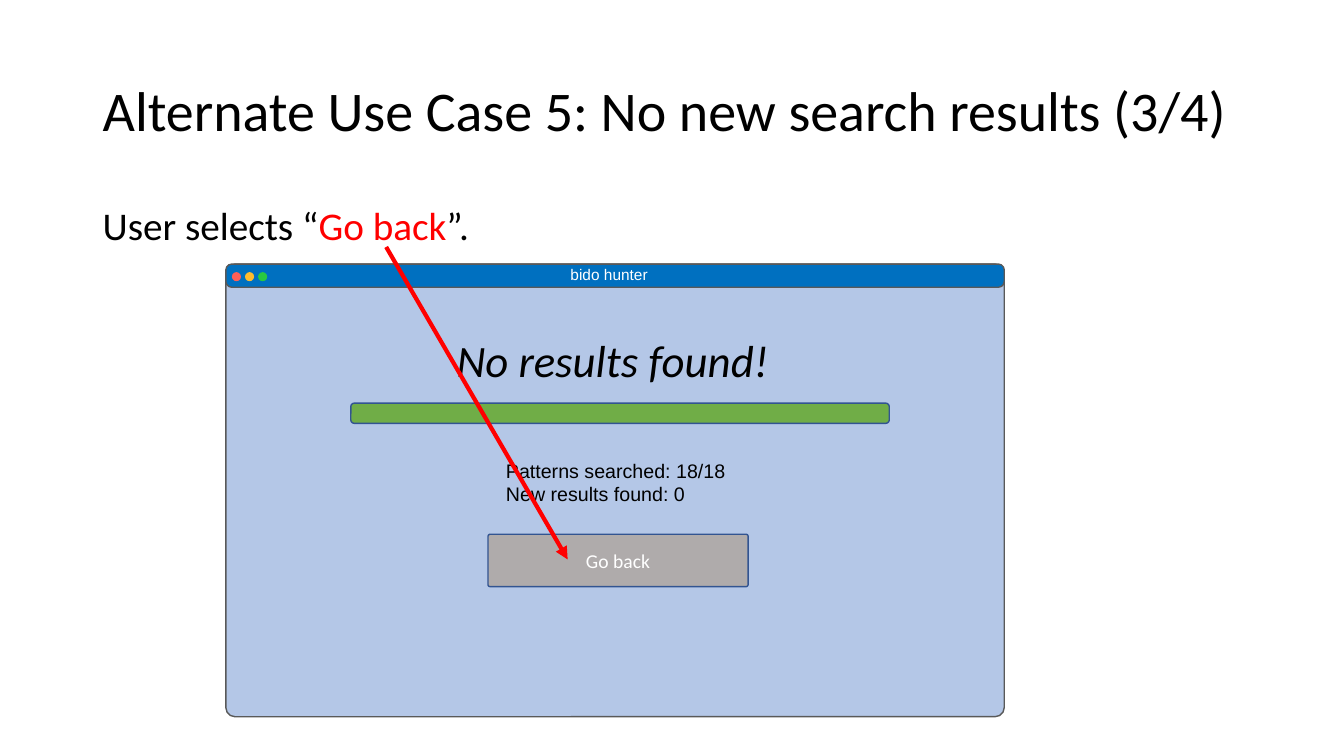
from lxml.etree import SubElement
from pptx import Presentation
from pptx.dml.color import RGBColor
from pptx.enum.shapes import MSO_CONNECTOR as Line, MSO_SHAPE as Preset
from pptx.enum.text import MSO_ANCHOR as Anchor, PP_ALIGN as Align
from pptx.oxml.ns import qn
from pptx.util import Pt

PX = 9144
COLORS = {
    "text": "000000", "light": "FFFFFF", "accent": "FF0000",
    "window": "B4C7E7", "bar": "0070C0", "frame": "595959",
    "progress": "70AD47", "button": "AFABAB", "edge": "325491",
    "close": "FF5F57", "minimize": "FFBC2E", "zoom": "28C840",
}


def color(name):
    return RGBColor.from_string(COLORS[name])


def scaled(*lengths):
    return [length * PX for length in lengths]


def style(paragraph, size, ink="text", face="Calibri", italic=False):
    font = paragraph.font
    font.size, font.name, font.italic = Pt(size), face, italic
    font.color.rgb = color(ink)


def add_text(shapes, box, lines, size, **look):
    label = shapes.add_textbox(*scaled(*box))
    frame = label.text_frame
    frame.word_wrap = True
    frame.text = "\n".join(lines)
    for paragraph in frame.paragraphs:
        style(paragraph, size, **look)
    return frame


def add_block(shapes, preset, box, fill, edge=None, corner=None):
    block = shapes.add_shape(preset, *scaled(*box))
    block.shadow.inherit = False
    block.fill.solid()
    block.fill.fore_color.rgb = color(fill)
    if edge:
        block.line.color.rgb = color(edge)
        block.line.width = Pt(1)
    else:
        block.line.fill.background()
    if corner is not None:
        block.adjustments[0] = corner
    return block


def add_title(slide, box):
    frame = add_text(slide.shapes, box,
                     ["Alternate Use Case 5: No new search results (3/4)"], 40)
    frame.vertical_anchor = Anchor.MIDDLE
    frame.paragraphs[0].line_spacing = 0.9


def add_step(slide, box):
    frame = add_text(slide.shapes, box, ["User selects “"], 28)
    step = frame.paragraphs[0]
    step.line_spacing = 0.9
    step.space_before = Pt(10)
    action = step.add_run()
    action.text = "Go back"
    action.font.color.rgb = color("accent")
    step.add_run().text = "”."


def add_title_bar(shapes, x, y, width):
    add_block(shapes, Preset.ROUNDED_RECTANGLE, (x, y, width, 23), "bar", "frame", 0.25)
    for i, control in enumerate(("close", "minimize", "zoom")):
        add_block(shapes, Preset.OVAL, (x + 6 + 13 * i, y + 8, 9, 9), control)
    add_text(shapes, (x + 332, y - 4, 102, 29), ["bido hunter"], 11,
             ink="light", face="Arial")


def add_window(slide, x, y, width, height):
    shapes = slide.shapes.add_group_shape().shapes
    add_block(shapes, Preset.ROUNDED_RECTANGLE, (x, y, width, height),
              "window", "frame", 0.02)
    add_title_bar(shapes, x, y, width)
    add_text(shapes, (x + 219, y + 63, 333, 64), ["No results found!"], 32, italic=True)
    add_block(shapes, Preset.ROUNDED_RECTANGLE, (x + 124, y + 138, 534, 20),
              "progress", "edge")
    add_text(shapes, (x + 268, y + 188, 246, 57),
             ["Patterns searched: 18/18", "New results found: 0"], 14, face="Arial")
    button = add_block(shapes, Preset.ROUNDED_RECTANGLE, (x + 260, y + 268, 258, 52),
                       "button", "edge", 0.04)
    button.text_frame.text = "Go back"
    button.text_frame.vertical_anchor = Anchor.MIDDLE
    caption = button.text_frame.paragraphs[0]
    caption.alignment = Align.CENTER
    style(caption, 14, "light")


def add_pointer(slide, start, end):
    pointer = slide.shapes.add_connector(Line.STRAIGHT, *scaled(*start, *end))
    pointer.line.color.rgb = color("accent")
    pointer.line.width = Pt(3)
    SubElement(pointer.line._get_or_add_ln(), qn("a:tailEnd"), type="triangle")
    SubElement(pointer._element.spPr, qn("a:effectLst"))


def main():
    deck = Presentation()
    deck.slide_width, deck.slide_height = scaled(1333, 750)
    slide = deck.slides.add_slide(deck.slide_layouts[6])
    add_title(slide, (92, 40, 1150, 145))
    add_step(slide, (92, 200, 1150, 476))
    add_window(slide, 224, 262, 772, 449)
    add_pointer(slide, (383, 245), (563, 555))
    deck.save("out.pptx")


if __name__ == "__main__":
    main()
